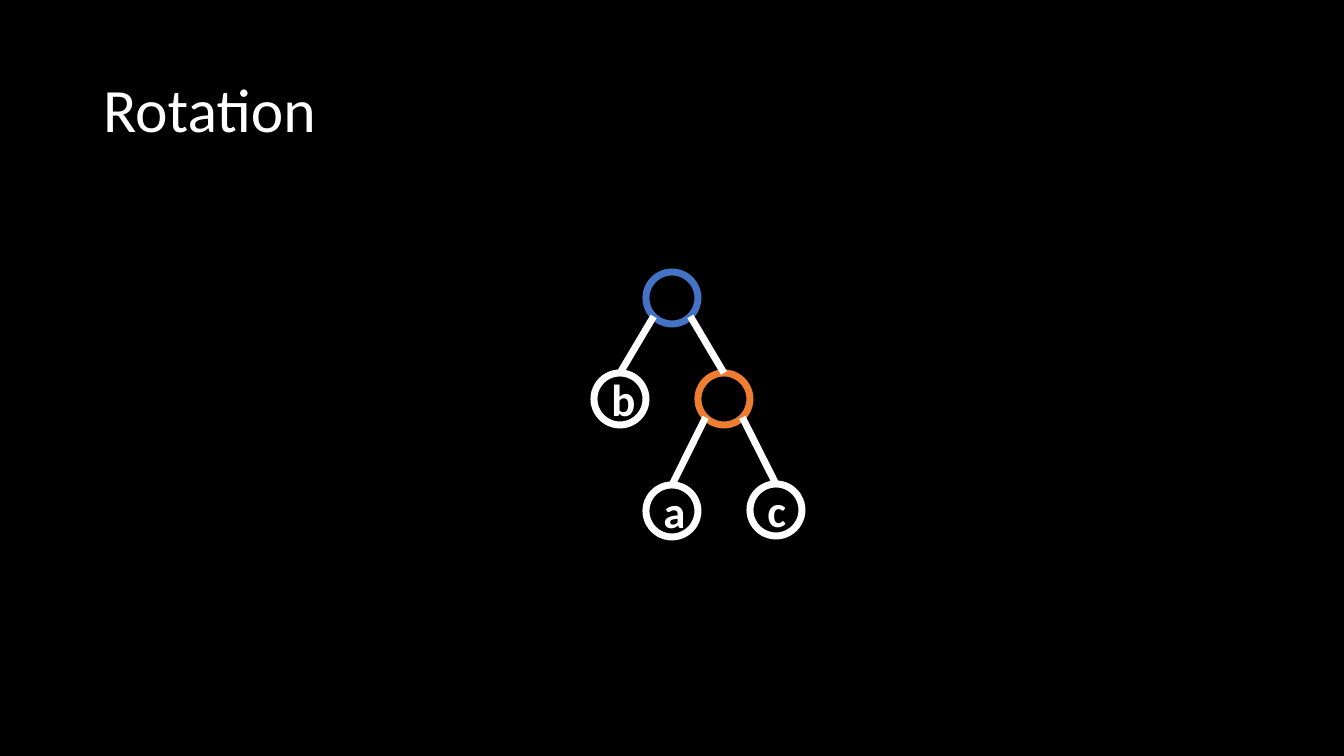
from math import sqrt

from lxml.etree import SubElement
from pptx import Presentation
from pptx.dml.color import RGBColor
from pptx.enum.shapes import MSO_CONNECTOR, MSO_SHAPE
from pptx.enum.text import MSO_ANCHOR, PP_ALIGN
from pptx.oxml.ns import qn
from pptx.util import Pt

EMU_PER_PX = 914400 / 100.8
BLACK, WHITE, BLUE, ORANGE = "000000", "FFFFFF", "4472C4", "ED7D31"
NODE = 52
LINE_WIDTH = 5

# name: (half-steps from the left, top, label, outline)
NODES = {
    "root": (1, 0, "", BLUE),
    "b": (0, 101, "b", WHITE),
    "pivot": (2, 101, "", ORANGE),
    "a": (1, 213, "a", WHITE),
    "c": (3, 212, "c", WHITE),
}
# parent, child, side of the parent
EDGES = [("root", "b", -1), ("root", "pivot", 1), ("pivot", "a", -1), ("pivot", "c", 1)]


def px(*lengths):
    return [round(length * EMU_PER_PX) for length in lengths]


def paint(color_format, hex_color):
    color_format.rgb = RGBColor.from_string(hex_color)


def write(shape, text, size, bold=False, align=PP_ALIGN.LEFT, spacing=None):
    frame = shape.text_frame
    frame.word_wrap = True
    frame.vertical_anchor = MSO_ANCHOR.MIDDLE
    para = frame.paragraphs[0]
    para.alignment = align
    para.line_spacing = spacing
    span = para.add_run()
    span.text = text
    span.font.name = "Calibri"
    span.font.size = Pt(size)
    span.font.bold = bold
    paint(span.font.color, WHITE)


def outline(shape, color):
    shape.line.width = Pt(LINE_WIDTH)
    paint(shape.line.color, color)


def add_title(page, left, top, width, height):
    title = page.shapes.title
    title.left, title.top, title.width, title.height = px(left, top, width, height)
    write(title, "Rotation", size=44, spacing=0.9)


def add_node(page, left, top, label, color):
    node = page.shapes.add_shape(MSO_SHAPE.OVAL, *px(left, top, NODE, NODE))
    node.shadow.inherit = False
    node.fill.background()
    outline(node, color)
    if label:
        write(node, label, size=32, bold=True, align=PP_ALIGN.CENTER)
    return node


def add_edge(page, parent, child, side):
    """Join the parent's lower left (-1) or lower right (1) to the child's top."""
    radius = parent.width / 2
    reach = radius / sqrt(2)
    start_x = round(parent.left + radius + side * reach)
    start_y = round(parent.top + radius + reach)
    edge = page.shapes.add_connector(
        MSO_CONNECTOR.STRAIGHT, start_x, start_y, child.left + child.width // 2, child.top)
    edge.end_connect(child, 0)
    outline(edge, WHITE)
    SubElement(edge._element.spPr, qn("a:effectLst"))


def add_tree(page, left, top):
    nodes = {
        name: add_node(page, left + step * NODE, top + drop, label, color)
        for name, (step, drop, label, color) in NODES.items()
    }
    for parent, child, side in EDGES:
        add_edge(page, nodes[parent], nodes[child], side)


def main():
    deck = Presentation()
    deck.slide_width, deck.slide_height = px(1344, 756)
    page = deck.slides.add_slide(deck.slide_layouts[5])
    page.background.fill.solid()
    paint(page.background.fill.fore_color, BLACK)
    add_title(page, 93, 40, 1159, 146)
    add_tree(page, 594, 272)
    deck.save("out.pptx")


if __name__ == "__main__":
    main()
